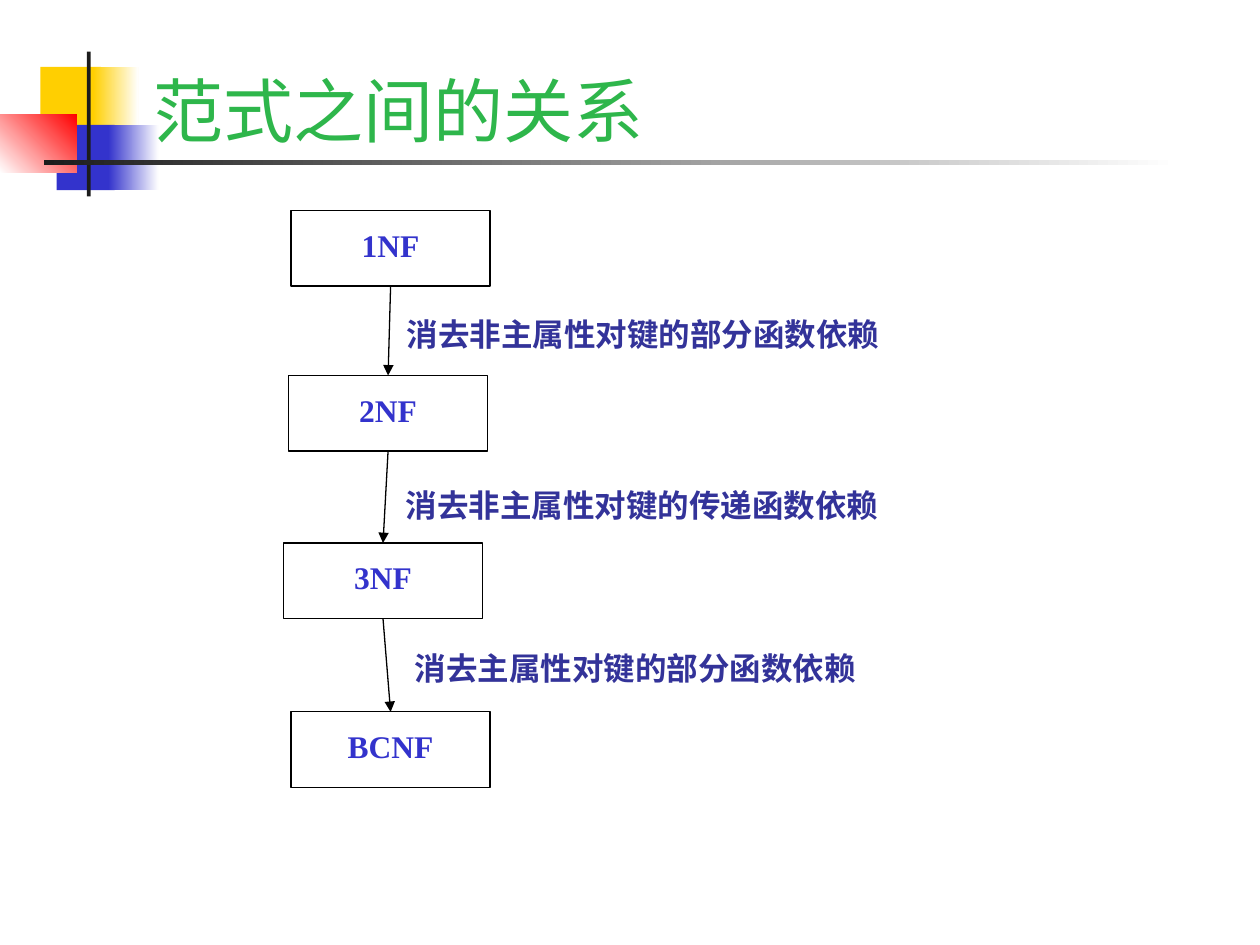
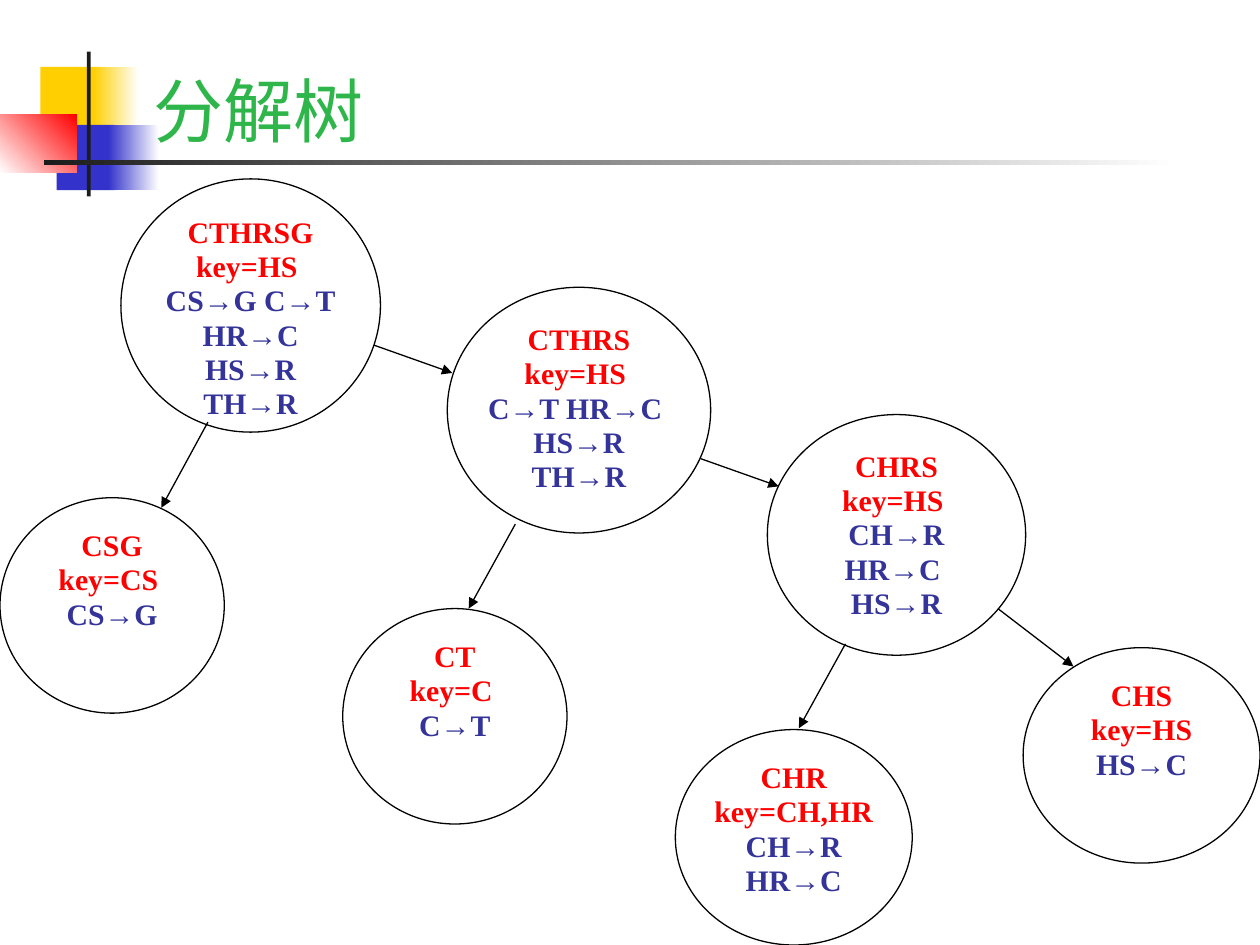
"""Build two slides on normal forms: their chain of refinement and a decomposition tree."""
from itertools import pairwise

from lxml.etree import SubElement
from pptx import Presentation
from pptx.dml.color import RGBColor
from pptx.enum.lang import MSO_LANGUAGE_ID as Language
from pptx.enum.shapes import MSO_CONNECTOR as Connector, MSO_SHAPE as Shape
from pptx.enum.text import MSO_ANCHOR as Anchor, PP_ALIGN as Align
from pptx.oxml.ns import qn
from pptx.util import Inches, Pt

COLORS = {
    "title": "2EB64B",
    "yellow": "FFCF01",
    "blue": "3333CC",
    "red": "FF0000",
    "dark": "1C1C1C",
    "white": "FFFFFF",
    "black": "000000",
    "indigo": "333399",
}
FONT = "Times New Roman"


def write_text(shape, text, color="indigo", size=18, bold=True, align=Align.CENTER,
               anchor=Anchor.TOP, insets=(0, 0, 0, 0), spacing=None, red_lines=0):
    frame = shape.text_frame
    frame.word_wrap = True
    frame.vertical_anchor = anchor
    frame.margin_left, frame.margin_top, frame.margin_right, frame.margin_bottom = map(Inches, insets)
    for index, line in enumerate(text.split("\n")):
        paragraph = frame.add_paragraph() if index else frame.paragraphs[0]
        paragraph.alignment = align
        paragraph.line_spacing = spacing
        run = paragraph.add_run()
        run.text = line
        run.font.name = FONT
        run.font.size = Pt(size)
        run.font.bold = bold
        run.font.language_id = Language.SIMPLIFIED_CHINESE
        run.font.color.rgb = RGBColor.from_string(COLORS["red" if index < red_lines else color])


def add_arrow(slide, start, end):
    arrow = slide.shapes.add_connector(Connector.STRAIGHT, *map(Inches, start + end))
    arrow.line.color.rgb = RGBColor.from_string(COLORS["black"])
    arrow.line.width = Pt(0.75)
    SubElement(arrow.line._get_or_add_ln(), qn("a:tailEnd"), type="triangle")
    SubElement(arrow._element.spPr, qn("a:effectLst"))
    return arrow


presentation = Presentation()
presentation.slide_width, presentation.slide_height = Inches(10), Inches(7.5)

ORNAMENTS = [
    ((0.32, 0.53, 0.48, 0.52), ["yellow"], 0),
    ((0.74, 0.53, 0.36, 0.52), ["yellow", "white"], 0),
    ((0.45, 0.99, 0.46, 0.52), ["blue"], 0),
    ((0.86, 0.99, 0.4, 0.52), ["blue", "white"], 0),
    ((0, 0.91, 0.61, 0.46), ["white", "red"], 45),
    ((0.69, 0.41, 0.03, 1.15), ["dark"], 0),
    ((0.35, 1.27, 9, 0.04), ["dark", "white"], 0),
]
slides = []
for title in ["范式之间的关系", "分解树"]:
    slide = presentation.slides.add_slide(presentation.slide_layouts[6])
    for place, colors, angle in ORNAMENTS:
        ornament = slide.shapes.add_shape(Shape.RECTANGLE, *map(Inches, place))
        ornament.shadow.inherit = False
        ornament.line.fill.background()
        if len(colors) == 1:
            ornament.fill.solid()
            ornament.fill.fore_color.rgb = RGBColor.from_string(COLORS[colors[0]])
        else:
            ornament.fill.gradient()
            ornament.fill.gradient_angle = angle
            for stop, color in zip(ornament.fill.gradient_stops, colors):
                stop.color.rgb = RGBColor.from_string(COLORS[color])
    title_box = slide.shapes.add_textbox(*map(Inches, (1.12, 0, 8.52, 1.25)))
    write_text(title_box, title, color="title", size=40, bold=False, align=Align.LEFT,
               anchor=Anchor.BOTTOM, insets=(0.1, 0.05, 0.1, 0.05))
    slides.append(slide)
forms_slide, tree_slide = slides

NORMAL_FORMS = [("1NF", 2.31, 1.67), ("2NF", 2.29, 2.98), ("3NF", 2.25, 4.31), ("BCNF", 2.31, 5.65)]
boxes = []
for name, left, top in NORMAL_FORMS:
    box = forms_slide.shapes.add_shape(Shape.RECTANGLE, *map(Inches, (left, top, 1.58, 0.6)))
    box.shadow.inherit = False
    box.fill.background()
    box.line.color.rgb = RGBColor.from_string(COLORS["black"])
    box.line.width = Pt(0.75)
    write_text(box, name, color="blue", insets=(0.1, 0.12, 0.1, 0.05))
    boxes.append(box)

STEPS = [
    ("消去非主属性对键的部分函数依赖", 3.23, 2.38, 4.77),
    ("消去非主属性对键的传递函数依赖", 3.22, 3.74, 4.77),
    ("消去主属性对键的部分函数依赖", 3.29, 5.03, 4.1),
]
for (upper, lower), (step, left, top, width) in zip(pairwise(boxes), STEPS):
    arrow = add_arrow(forms_slide, (3.08, top), (3.08, top + 0.6))
    arrow.begin_connect(upper, 2)
    arrow.end_connect(lower, 0)
    label = forms_slide.shapes.add_textbox(*map(Inches, (left, top, width, 0.43)))
    write_text(label, step, align=Align.JUSTIFY, insets=(0, 0.12, 0, 0))

RELATIONS = [
    ((0.96, 1.42, 2.06, 2.01), "CTHRSG\nkey=HS \nCS→G C→T\nHR→C HS→R\nTH→R"),
    ((3.55, 2.28, 2.09, 1.95), "CTHRS\nkey=HS \nC→T HR→C \nHS→R TH→R"),
    ((0, 3.95, 1.78, 1.71), "CSG\nkey=CS \nCS→G"),
    ((2.72, 4.83, 1.78, 1.71), "CT\nkey=C \nC→T"),
    ((5.36, 5.79, 1.88, 1.71), "CHR\nkey=CH,HR\nCH→R\nHR→C"),
    ((6.09, 3.29, 2.05, 1.91), "CHRS\nkey=HS \nCH→R HR→C \nHS→R"),
    ((8.12, 5.14, 1.88, 1.71), "CHS\nkey=HS\nHS→C"),
]
for place, text in RELATIONS:
    relation = tree_slide.shapes.add_shape(Shape.OVAL, *map(Inches, place))
    relation.shadow.inherit = False
    relation.fill.background()
    relation.line.color.rgb = RGBColor.from_string(COLORS["black"])
    relation.line.width = Pt(0.75)
    write_text(relation, text, size=17, spacing=0.96, red_lines=2)

BRANCHES = [
    ((2.97, 2.74), (3.59, 2.96)),
    ((5.56, 3.64), (6.18, 3.86)),
    ((7.92, 4.83), (8.52, 5.29)),
    ((1.65, 3.35), (1.28, 4.03)),
    ((4.09, 4.16), (3.72, 4.83)),
    ((6.71, 5.11), (6.34, 5.78)),
]
for start, end in BRANCHES:
    add_arrow(tree_slide, start, end)

presentation.save("out.pptx")
